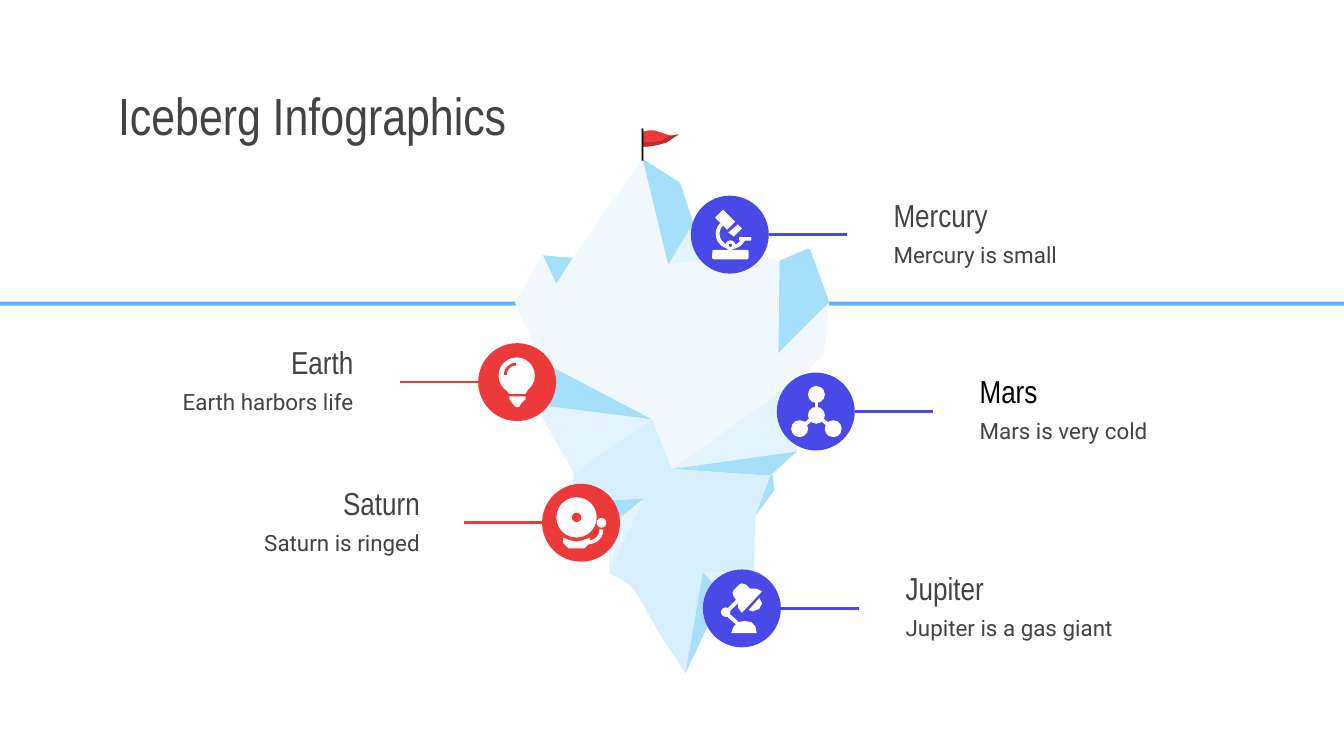
from dataclasses import dataclass

from lxml import etree
from pptx import Presentation
from pptx.dml.color import RGBColor
from pptx.enum.shapes import MSO_CONNECTOR, MSO_SHAPE
from pptx.enum.text import MSO_ANCHOR, PP_ALIGN
from pptx.oxml.ns import qn
from pptx.util import Inches, Pt

OVAL, ROUNDED, ARC = MSO_SHAPE.OVAL, MSO_SHAPE.ROUNDED_RECTANGLE, MSO_SHAPE.ARC
RECTANGLE = MSO_SHAPE.RECTANGLE
STRAIGHT = MSO_CONNECTOR.STRAIGHT
LEFT, RIGHT = PP_ALIGN.LEFT, PP_ALIGN.RIGHT
MIDDLE = MSO_ANCHOR.MIDDLE
COLUMNS = 1000


@dataclass(frozen=True)
class Theme:
    ink: str = "434343"
    black: str = "000000"
    white: str = "FFFFFF"
    water: str = "5EB2FC"
    snow: str = "F1F9FE"
    frost: str = "E3F4FE"
    ice: str = "D8EFFE"
    shade: str = "A5DFF9"
    red: str = "EC3A3B"
    dark_red: str = "C6282F"
    blue: str = "4949E7"
    heading_font: str = "Arial Narrow"
    body_font: str = "Roboto"
    title_size: float = 28
    name_size: float = 17
    detail_size: float = 12
    leader_width: float = 1.5
    icon_width: float = 2


class Canvas:
    def __init__(self, presentation, theme):
        self.theme = theme
        self.cell = presentation.slide_width // COLUMNS
        self.slide = presentation.slides.add_slide(presentation.slide_layouts[6])

    def grid(self, *values):
        return [round(value * self.cell) for value in values]

    def paint(self, shape, colour):
        shape.shadow.inherit = False
        shape.fill.solid()
        shape.fill.fore_color.rgb = RGBColor.from_string(colour)
        shape.line.fill.background()

    def shape(self, kind, left, top, width, height, colour):
        shape = self.slide.shapes.add_shape(kind, *self.grid(left, top, width, height))
        self.paint(shape, colour)

    def disc(self, column, row, radius, colour):
        self.shape(OVAL, column - radius, row - radius, 2 * radius, 2 * radius, colour)

    def polygon(self, colour, *points):
        builder = self.slide.shapes.build_freeform(*points[0], scale=self.cell)
        builder.add_line_segments(points[1:], close=True)
        self.paint(builder.convert_to_shape(), colour)

    def arc(self, column, row, radius, start, end, colour, width):
        box = self.grid(column - radius, row - radius, 2 * radius, 2 * radius)
        arc = self.slide.shapes.add_shape(ARC, *box)
        arc.shadow.inherit = False
        arc.fill.background()
        arc.line.color.rgb = RGBColor.from_string(colour)
        arc.line.width = Pt(width)
        for index, degrees in enumerate((start, end)):
            arc.adjustments[index] = degrees * 0.6

    def line(self, start, end, colour, width):
        connector = self.slide.shapes.add_connector(STRAIGHT, *self.grid(*start, *end))
        connector.line.color.rgb = RGBColor.from_string(colour)
        connector.line.width = Pt(width)
        etree.SubElement(connector._element.spPr, qn("a:effectLst"))

    def text(self, words, left, top, width, height, font, size, colour, align=LEFT):
        box = self.slide.shapes.add_textbox(*self.grid(left, top, width, height))
        frame = box.text_frame
        frame.word_wrap = True
        frame.vertical_anchor = MIDDLE
        frame.margin_left = frame.margin_right = Inches(0.1)
        frame.margin_top = frame.margin_bottom = Inches(0.1)
        paragraph = frame.paragraphs[0]
        paragraph.alignment = align
        run = paragraph.add_run()
        run.text = words
        run.font.name = font
        run.font.size = Pt(size)
        run.font.color.rgb = RGBColor.from_string(colour)

    def marker(self, name, detail, column, row, side, icon, gap=112, name_colour=None):
        theme = self.theme
        colour, align = (theme.blue, LEFT) if side > 0 else (theme.red, RIGHT)
        left = column + gap if side > 0 else column - gap - 191
        self.text(detail, left, row - 5.5, 191, 40,
                  theme.body_font, theme.detail_size, theme.ink, align)
        self.text(name, left, row - 35, 191, 40,
                  theme.heading_font, theme.name_size, name_colour or theme.ink, align)
        self.disc(column, row, 29, colour)
        self.line((column + side * 29, row), (column + side * 87, row),
                  colour, theme.leader_width)
        icon(self)


def draw_iceberg(canvas):
    theme = canvas.theme
    facets = [
        (theme.shade, (601, 185), (580, 194), (579, 263), (617, 225), (603, 186)),
        (theme.snow, (554, 188), (497, 197), (485, 312), (500, 349), (594, 282),
         (613, 264), (617, 225), (579, 263), (580, 194)),
        (theme.frost, (594, 282), (500, 349), (593, 336)),
        (theme.shade, (593, 336), (500, 349), (573, 354)),
        (theme.shade, (575, 353), (573, 354), (562, 384), (576, 365)),
        (theme.ice, (485, 312), (427, 352), (425, 374), (479, 371), (453, 426),
         (468, 435), (474, 442), (491, 472), (510, 501), (523, 426), (561, 426),
         (562, 384), (573, 354), (500, 349)),
        (theme.frost, (523, 426), (539, 443), (561, 426)),
        (theme.frost, (516, 166), (497, 197), (554, 188), (536, 176)),
        (theme.shade, (523, 426), (510, 501), (536, 446), (539, 443)),
        (theme.shade, (478, 118), (497, 197), (516, 166), (506, 136)),
        (theme.snow, (478, 118), (426, 192), (414, 211), (404, 190), (383, 225),
         (403, 269), (485, 312), (497, 197)),
        (theme.frost, (398, 301), (427, 352), (485, 312)),
        (theme.shade, (403, 269), (398, 301), (485, 312)),
        (theme.frost, (479, 371), (454, 391), (453, 426)),
        (theme.shade, (479, 371), (425, 374), (454, 391)),
        (theme.shade, (404, 190), (414, 211), (426, 192)),
    ]
    for colour, *points in facets:
        canvas.polygon(colour, *points)


def draw_flag(canvas):
    theme = canvas.theme
    canvas.polygon(theme.red, (478, 98), (483, 97), (487, 97), (496, 100), (500, 101),
                   (505, 100), (496, 106), (489, 108.5), (482, 109), (478, 109))
    canvas.polygon(theme.dark_red, (505, 100), (499, 101), (491, 105), (482, 106),
                   (478, 106), (478, 109), (482, 109), (489, 108.5), (496, 106))
    canvas.shape(ROUNDED, 477.5, 95.5, 1.2, 24, theme.black)


def draw_lamp(canvas):
    white, width = canvas.theme.white, canvas.theme.icon_width
    canvas.line((540, 456), (549, 447), white, width)
    canvas.line((540, 456), (550, 465), white, width)
    canvas.disc(540, 455.5, 3.5, white)
    canvas.polygon(white, (546, 439), (550, 435), (552, 434), (555, 435), (558, 438),
                   (563, 438), (567, 440), (552, 456), (549, 452), (549, 448),
                   (546, 444), (545, 441))
    canvas.polygon(white, (565, 445), (567, 449), (565, 453), (560, 455), (557, 454))
    canvas.polygon(white, (544, 471), (546, 466), (549, 463), (554, 462),
                   (559, 463), (562, 466), (563, 471))


def draw_molecule(canvas):
    white = canvas.theme.white
    centre = (607.5, 309)
    canvas.disc(*centre, 6.3, white)
    for atom in ((607.5, 293.5), (595, 319), (620, 319)):
        canvas.line(centre, atom, white, canvas.theme.icon_width)
        canvas.disc(*atom, 6.3, white)


def draw_microscope(canvas):
    white, blue = canvas.theme.white, canvas.theme.blue
    canvas.arc(544, 174, 10, 20, 225, white, canvas.theme.icon_width)
    canvas.polygon(white, (538.5, 156), (547, 165), (541, 171), (532, 162))
    canvas.polygon(white, (549, 167), (552, 170), (546, 176), (542, 173))
    canvas.shape(ROUNDED, 550, 176.5, 9, 2.5, white)
    canvas.shape(ROUNDED, 530, 186, 27, 7, white)
    canvas.disc(543.5, 182.5, 3.7, white)
    canvas.disc(543.5, 182.5, 1.2, blue)


def draw_bell(canvas):
    white, red = canvas.theme.white, canvas.theme.red
    canvas.disc(429, 385, 15, white)
    canvas.disc(429, 385, 3.5, red)
    canvas.polygon(white, (419, 400), (424, 402), (429, 403), (434, 402), (439, 400),
                   (439, 404), (435, 408), (423, 408), (419, 404))
    canvas.arc(438, 394, 9.5, 0, 90, white, canvas.theme.icon_width)
    canvas.disc(447.5, 389, 3.6, white)


def draw_bulb(canvas):
    white, red = canvas.theme.white, canvas.theme.red
    canvas.disc(384.5, 279.5, 13.5, white)
    canvas.polygon(white, (375, 288), (394, 288), (391, 293), (379, 293))
    canvas.polygon(white, (379, 295), (391, 295), (391, 297), (388, 300),
                   (386, 303), (384, 303), (381, 300), (379, 297))
    canvas.arc(384, 279, 8, 180, 270, red, canvas.theme.leader_width)


def main():
    presentation = Presentation()
    presentation.slide_width = Inches(10)
    presentation.slide_height = presentation.slide_width * 9 // 16
    theme = Theme()
    canvas = Canvas(presentation, theme)
    canvas.shape(RECTANGLE, 0, 224.5, COLUMNS, 3, theme.water)
    draw_iceberg(canvas)
    draw_flag(canvas)
    canvas.text("Iceberg Infographics", 78, 59, 349, 53,
                theme.heading_font, theme.title_size, theme.ink)
    canvas.marker("Jupiter", "Jupiter is a gas giant", 552, 452.7, 1, draw_lamp)
    canvas.marker("Mars", "Mars is very cold", 607, 306.2, 1, draw_molecule,
                  name_colour=theme.black)
    canvas.marker("Mercury", "Mercury is small", 543, 174.6, 1, draw_microscope)
    canvas.marker("Saturn", "Saturn is ringed", 432.3, 389, -1, draw_bell, gap=110)
    canvas.marker("Earth", "Earth harbors life", 384.8, 284.3, -1, draw_bulb)
    presentation.save("out.pptx")


if __name__ == "__main__":
    main()
